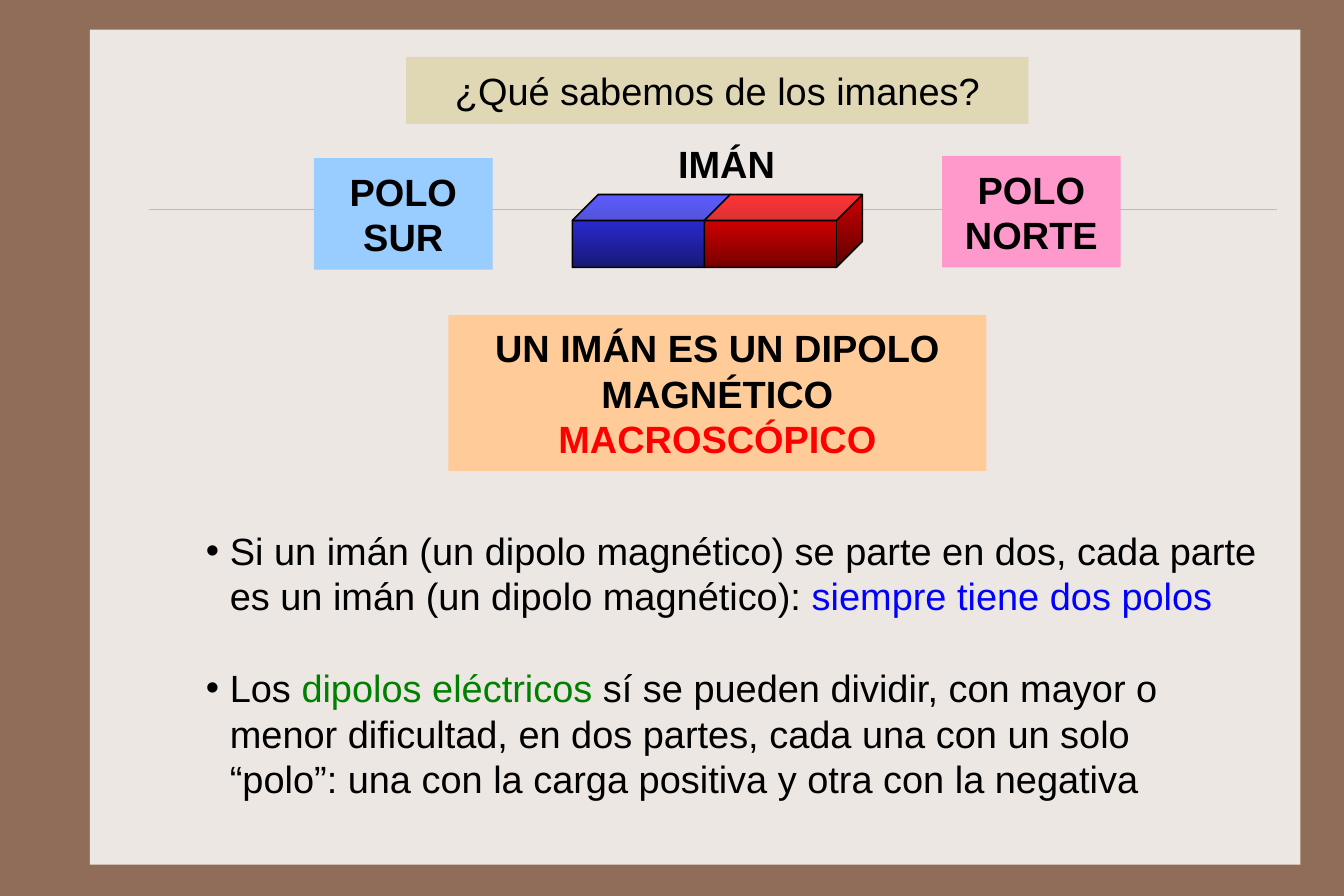
from dataclasses import dataclass

from lxml import etree
from pptx import Presentation
from pptx.dml.color import RGBColor
from pptx.enum.shapes import MSO_CONNECTOR, MSO_SHAPE
from pptx.enum.text import MSO_ANCHOR, PP_ALIGN
from pptx.oxml.ns import qn
from pptx.util import Inches, Pt

RECTANGLE, CUBE = MSO_SHAPE.RECTANGLE, MSO_SHAPE.CUBE
STRAIGHT = MSO_CONNECTOR.STRAIGHT
MIDDLE = MSO_ANCHOR.MIDDLE
LEFT, CENTER = PP_ALIGN.LEFT, PP_ALIGN.CENTER


@dataclass(frozen=True)
class Theme:
    font: str = "Arial"
    size: int = 24
    text: str = "000000"
    border: str = "906D58"
    paper: str = "EDE7E3"
    rule: str = "CBBD83"
    title: str = "E0D7B5"
    south: str = "99CCFF"
    north: str = "FF99CC"
    statement: str = "FFCC99"
    red: str = "FF0000"
    blue: str = "0000FF"
    green: str = "008000"
    south_magnet: tuple = ("3333FF", "181876")
    north_magnet: tuple = ("FF0000", "760000")


THEME = Theme()


def color(code):
    return RGBColor.from_string(code)


def inches(box):
    return [Inches(length) for length in box]


def add_panel(page, box, fill):
    panel = page.shapes.add_shape(RECTANGLE, *inches(box))
    panel.shadow.inherit = False
    panel.fill.solid()
    panel.fill.fore_color.rgb = color(fill)
    panel.line.fill.background()
    return panel


def write(shape, spans, align=CENTER, bold=False, wrap=True):
    """Fill a shape with one paragraph of (text, colour) spans."""
    frame = shape.text_frame
    frame.word_wrap = wrap
    frame.vertical_anchor = MIDDLE
    frame.margin_left = frame.margin_right = Inches(0.12)
    frame.margin_top = frame.margin_bottom = Inches(0.08)
    para = frame.paragraphs[0]
    para.alignment = align
    for text, code in spans:
        span = para.add_run()
        span.text = text
        span.font.name = THEME.font
        span.font.size = Pt(THEME.size)
        span.font.bold = bold
        span.font.color.rgb = color(code)
    return para


def add_backdrop(page, box):
    left, top, width, _ = box
    page.background.fill.solid()
    page.background.fill.fore_color.rgb = color(THEME.border)
    add_panel(page, box, THEME.paper)
    rule_y = top + 1.58
    ends = (left + 0.52, rule_y, left + width - 0.21, rule_y)
    rule = page.shapes.add_connector(STRAIGHT, *inches(ends))
    rule.line.color.rgb = color(THEME.rule)
    rule.line.width = Pt(0.25)
    etree.SubElement(rule._element.spPr, qn("a:effectLst"))


def add_magnet(page, box):
    """Two overlapping cubes, the south half behind the north half."""
    left, top, width, height = box
    half = 1.39
    halves = ((left, THEME.south_magnet), (left + width - half, THEME.north_magnet))
    for x, shades in halves:
        cube = page.shapes.add_shape(CUBE, *inches((x, top, half, height)))
        cube.shadow.inherit = False
        cube.adjustments[0] = 0.357
        cube.fill.gradient()
        cube.fill.gradient_angle = 270
        for stop, shade in zip(cube.fill.gradient_stops, shades):
            stop.color.rgb = color(shade)
        cube.line.color.rgb = color(THEME.text)
        cube.line.width = Pt(1)
    label = page.shapes.add_textbox(*inches((left + 0.81, top - 0.55, 1.1, 0.56)))
    write(label, [("IMÁN", THEME.text)], LEFT, bold=True, wrap=False)


def add_box(page, box, fill, spans, bold=True):
    write(add_panel(page, box, fill), spans, bold=bold)


def add_bullet(page, box, spans):
    para = write(page.shapes.add_textbox(*inches(box)), spans, LEFT)
    properties = para._p.get_or_add_pPr()
    indent = Inches(0.21)
    properties.set("marL", str(indent))
    properties.set("indent", str(-indent))
    etree.SubElement(properties, qn("a:buFont")).set("typeface", THEME.font)
    etree.SubElement(properties, qn("a:buChar")).set("char", "•")


def main():
    deck = Presentation()
    deck.slide_width, deck.slide_height = Inches(189 / 16), Inches(63 / 8)
    page = deck.slides.add_slide(deck.slide_layouts[6])
    black = THEME.text

    add_backdrop(page, (0.79, 0.26, 10.64, 7.34))
    add_magnet(page, (5.03, 1.71, 2.55, 0.64))
    add_box(page, (8.28, 1.37, 1.57, 0.98), THEME.north, [("POLO NORTE", black)])
    add_box(page, (2.76, 1.39, 1.57, 0.98), THEME.south, [("POLO SUR", black)])
    add_box(page, (3.94, 2.77, 4.73, 1.37), THEME.statement,
            [("UN IMÁN ES UN DIPOLO MAGNÉTICO ", black), ("MACROSCÓPICO", THEME.red)])
    add_bullet(page, (1.69, 4.55, 9.55, 0.97), [
        ("Si un imán (un dipolo magnético) se parte en dos, cada parte "
         "es un imán (un dipolo magnético): ", black),
        ("siempre tiene dos polos", THEME.blue)])
    add_bullet(page, (1.69, 5.76, 9.22, 1.37), [
        ("Los ", black),
        ("dipolos eléctricos", THEME.green),
        (" sí se pueden dividir, con mayor o menor dificultad, en dos partes, "
         "cada una con un solo “polo”: una con la carga positiva y otra con "
         "la negativa", black)])
    add_box(page, (3.57, 0.5, 5.47, 0.59), THEME.title,
            [("¿Qué sabemos de los imanes?", black)], bold=False)
    deck.save("out.pptx")


if __name__ == "__main__":
    main()
